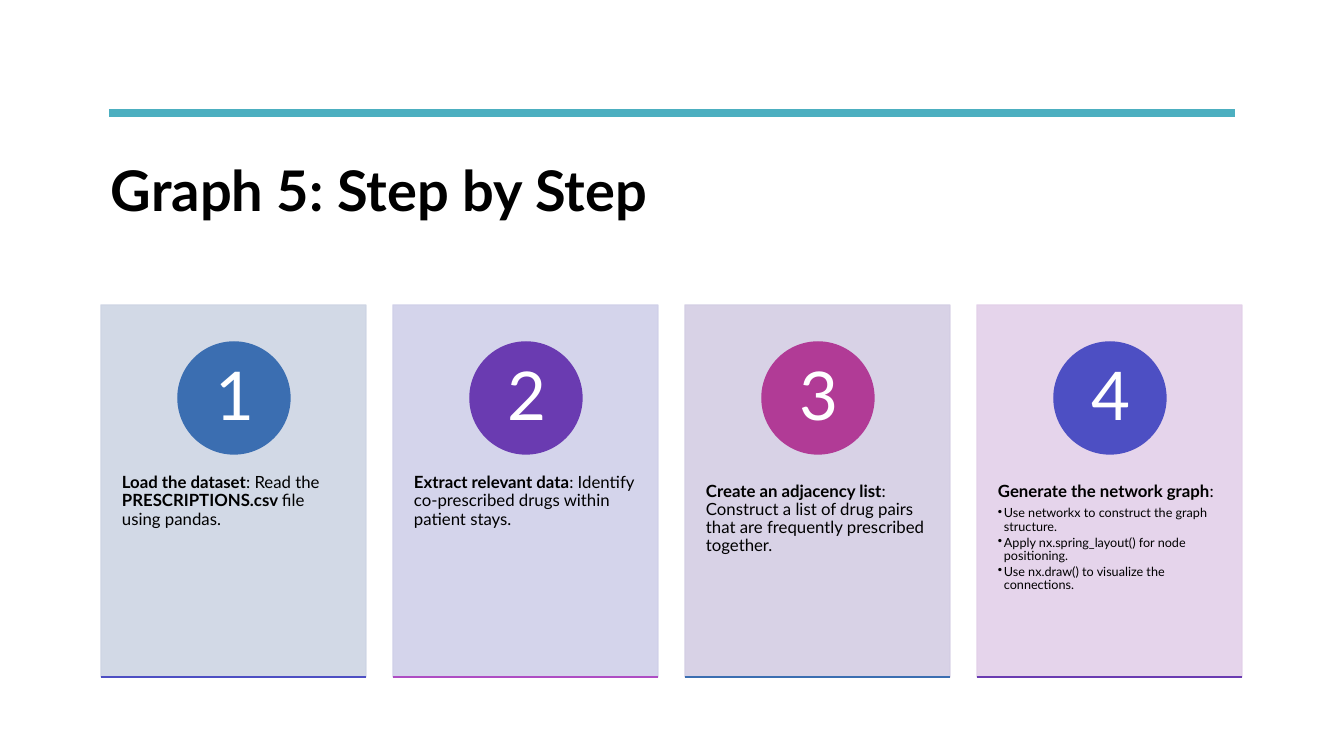
from lxml import etree
from pptx import Presentation
from pptx.dml.color import RGBColor
from pptx.enum.shapes import MSO_CONNECTOR, MSO_SHAPE
from pptx.enum.text import MSO_ANCHOR, PP_ALIGN
from pptx.oxml.ns import qn
from pptx.util import Emu, Pt

RECT = MSO_SHAPE.RECTANGLE
OVAL = MSO_SHAPE.OVAL
LINE = MSO_CONNECTOR.STRAIGHT
TOP = MSO_ANCHOR.TOP
MIDDLE = MSO_ANCHOR.MIDDLE
LEFT = PP_ALIGN.LEFT
CENTER = PP_ALIGN.CENTER

COLORS = {
    "black": "000000", "white": "FFFFFF", "teal": "4CAFC0",
    "blue": "3B6EB1", "violet": "6A3BB1", "pink": "B13B96",
    "indigo": "4D4FC3", "orchid": "AE4DC3",
    "mist": "CED5E4", "haze": "D0D0E9", "lilac": "D4CEE4", "rose": "E3D0E9",
}

STEPS = [
    ("mist", "blue", "indigo",
     "*Load the dataset*: Read the *PRESCRIPTIONS.csv *file using pandas.", []),
    ("haze", "violet", "orchid",
     "*Extract relevant data*: Identify co-prescribed drugs within patient stays.", []),
    ("lilac", "pink", "blue",
     "*Create an adjacency list*: Construct a list of drug pairs that are "
     "frequently prescribed together.", []),
    ("rose", "indigo", "violet", "*Generate the network graph*:",
     ["Use networkx to construct the graph structure.",
      "Apply nx.spring_layout() for node positioning.",
      "Use nx.draw() to visualize the connections."]),
]


def px(count):
    return Emu(round(count * 914400 / 100.8))


def rgb(name):
    return RGBColor.from_string(COLORS[name])


class Deck:
    font = "Lato"

    def __init__(self, wide, high):
        self.show = Presentation()
        self.show.slide_width = px(wide)
        self.show.slide_height = px(high)
        self.slide = self.show.slides.add_slide(self.show.slide_layouts[6])

    def shape(self, kind, x, y, w, h, color, alpha=100):
        item = self.slide.shapes.add_shape(kind, px(x), px(y), px(w), px(h))
        item.shadow.inherit = False
        item.fill.solid()
        item.fill.fore_color.rgb = rgb(color)
        item.line.color.rgb = rgb(color)
        item.line.width = Pt(1)
        if alpha < 100:
            for tone in item._element.spPr.iter(qn("a:srgbClr")):
                etree.SubElement(tone, qn("a:alpha"), val=str(alpha * 1000))

    def rule(self, x, y, w, color, width):
        line = self.slide.shapes.add_connector(LINE, px(x), px(y), px(x + w), px(y))
        line.line.color.rgb = rgb(color)
        line.line.width = Pt(width)
        etree.SubElement(line._element.spPr, qn("a:effectLst"))

    def box(self, x, y, w, h, inset, anchor=TOP):
        frame = self.slide.shapes.add_textbox(px(x), px(y), px(w), px(h)).text_frame
        frame.word_wrap = True
        frame.vertical_anchor = anchor
        frame.margin_left = frame.margin_right = px(inset[0])
        frame.margin_top = frame.margin_bottom = px(inset[1])
        return frame

    def text(self, frame, text, size=12, color="black", align=LEFT,
             lead=0.9, after=4.2, bullet=False):
        para = frame.paragraphs[0]
        if para.runs:
            para = frame.add_paragraph()
        para.alignment = align
        para.line_spacing = lead
        para.space_after = Pt(after)
        if bullet:
            props = para._p.get_or_add_pPr()
            props.set("marL", str(px(6)))
            props.set("indent", str(-px(6)))
            etree.SubElement(props, qn("a:buChar"), char="•")
        for spot, part in enumerate(text.split("*")):
            if part:
                run = para.add_run()
                run.text = part
                run.font.name = self.font
                run.font.size = Pt(size)
                run.font.bold = spot % 2 == 1
                run.font.color.rgb = rgb(color)

    def card(self, x, digit, back, disc, edge, body, notes):
        self.shape(RECT, x, 305, 265, 372, back, alpha=90)
        frame = self.box(x, 447, 265, 223, (21, 36))
        self.text(frame, body)
        for note in notes:
            self.text(frame, note, size=9, after=1.3, bullet=True)
        self.shape(OVAL, x + 77, 342, 112, 112, disc)
        frame = self.box(x + 94, 359, 79, 79, (9, 1), MIDDLE)
        self.text(frame, str(digit), size=48, color="white", align=CENTER)
        self.rule(x, 677, 265, edge, 1)


def main():
    deck = Deck(1344, 756)
    title = deck.box(101, 151, 1142, 126, (10, 5))
    deck.text(title, "*Graph 5: Step by Step*", size=40, lead=1.0, after=0)
    deck.rule(109, 113, 1126, "teal", 6)
    for spot, step in enumerate(STEPS):
        deck.card(101 + 292 * spot, spot + 1, *step)
    deck.show.save("out.pptx")


if __name__ == "__main__":
    main()
